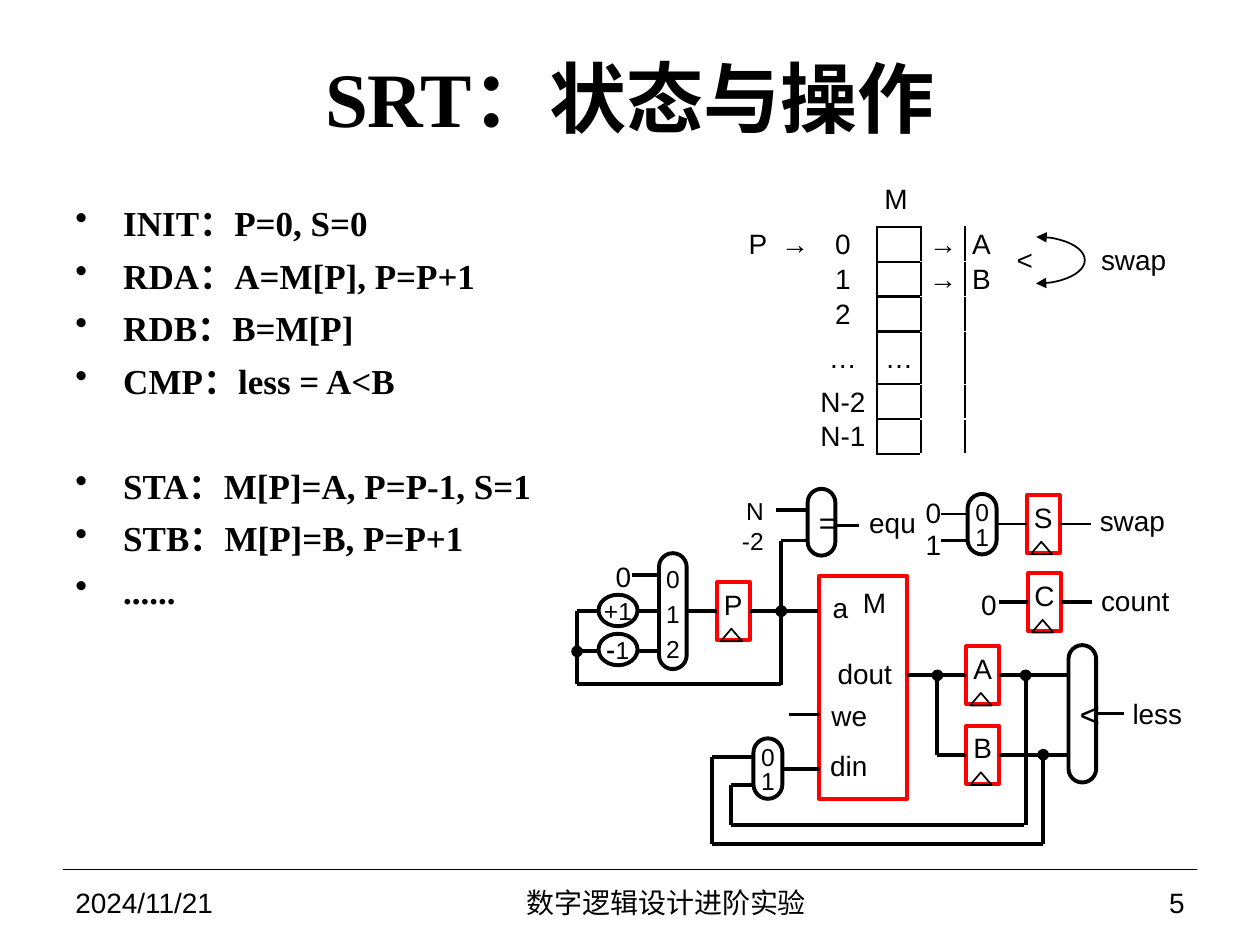
from dataclasses import dataclass

from lxml import etree
from pptx import Presentation
from pptx.dml.color import RGBColor
from pptx.enum.shapes import MSO_CONNECTOR, MSO_SHAPE
from pptx.enum.text import MSO_ANCHOR, PP_ALIGN
from pptx.oxml.ns import qn
from pptx.util import Emu, Inches, Pt

LEFT, CENTER, RIGHT = PP_ALIGN.LEFT, PP_ALIGN.CENTER, PP_ALIGN.RIGHT
TOP, MIDDLE = MSO_ANCHOR.TOP, MSO_ANCHOR.MIDDLE
RECT, PILL, OVAL = MSO_SHAPE.RECTANGLE, MSO_SHAPE.ROUNDED_RECTANGLE, MSO_SHAPE.OVAL
TRIANGLE, ARC = MSO_SHAPE.ISOSCELES_TRIANGLE, MSO_SHAPE.ARC
STRAIGHT = MSO_CONNECTOR.STRAIGHT
LEFT_SIDE, RIGHT_SIDE = 1, 3
COLUMNS, ROWS, CELL = 100, 75, Inches(0.1)
DEFAULT_INSETS, TOP_INSET, NO_INSETS = (1, 0.5, 1, 0.5), (0, 0.4, 0, 0), (0, 0, 0, 0)


@dataclass(frozen=True)
class Theme:
    ink: RGBColor = RGBColor(0, 0, 0)
    register: RGBColor = RGBColor(255, 0, 0)
    paper: RGBColor = RGBColor(255, 255, 255)
    sans: str = "Arial"
    serif: str = "Times New Roman"
    cjk: str = "Noto Sans CJK SC"
    title: int = 44
    body: int = 20
    label: int = 16
    small: int = 14
    thick: float = 2.25
    medium: float = 1.5
    thin: float = 1
    rule: float = 0.75


def grid(n):
    return Emu(round(n * CELL))


class Sketch:
    """Draws on one slide; all lengths are cells of a 100 by 75 grid."""

    def __init__(self, slide, theme):
        self.slide, self.theme = slide, theme

    def add_lines(self, frame, lines, size, font=None, bold=False, align=LEFT, leading=None):
        """Fill a frame; a line is a string or a list of (text, font, bold) runs."""
        for i, line in enumerate(lines):
            para = frame.paragraphs[0] if i == 0 else frame.add_paragraph()
            para.alignment = align
            if leading:
                para.line_spacing = Pt(leading)
            runs = [(line, font or self.theme.sans, bold)] if isinstance(line, str) else line
            for text, face, weight in runs:
                run = para.add_run()
                run.text = text
                run.font.name, run.font.size, run.font.bold = face, Pt(size), weight
                run.font.color.rgb = self.theme.ink
                east_asian = etree.SubElement(run._r.get_or_add_rPr(), qn("a:ea"))
                east_asian.set("typeface", self.theme.cjk)

    def frame(self, shape, anchor, insets, wrap):
        frame = shape.text_frame
        frame.word_wrap, frame.vertical_anchor = wrap, anchor
        (frame.margin_left, frame.margin_top,
         frame.margin_right, frame.margin_bottom) = map(grid, insets)
        return frame

    def text(self, x, y, w, h, lines, size=None, anchor=TOP, insets=DEFAULT_INSETS,
             wrap=False, **style):
        box = self.slide.shapes.add_textbox(*map(grid, (x, y, w, h)))
        frame = self.frame(box, anchor, insets, wrap)
        self.add_lines(frame, lines, size or self.theme.label, **style)
        return frame

    def shape(self, kind, x, y, w, h, lines=(), size=None, line=None, weight=None, fill=None,
              anchor=MIDDLE, insets=NO_INSETS, wrap=False, leading=None):
        shape = self.slide.shapes.add_shape(kind, *map(grid, (x, y, w, h)))
        shape.shadow.inherit = False
        if fill is None:
            shape.fill.background()
        else:
            shape.fill.solid()
            shape.fill.fore_color.rgb = fill
        shape.line.color.rgb = line or self.theme.ink
        shape.line.width = Pt(weight or self.theme.thick)
        if kind == PILL:
            shape.adjustments[0] = 0.5
        frame = self.frame(shape, anchor, insets, wrap)
        self.add_lines(frame, lines, size or self.theme.small, align=CENTER, leading=leading)
        return shape

    def ends(self, line, **kinds):
        for tag, kind in kinds.items():
            etree.SubElement(line._get_or_add_ln(), qn(f"a:{tag}")).set("type", kind)

    def wire(self, *points, weight=None, dot=False, start=None, end=None):
        """Join points by straight lines; start and end are (shape, side) pairs."""
        for (x1, y1), (x2, y2) in zip(points, points[1:]):
            wire = self.slide.shapes.add_connector(STRAIGHT, *map(grid, (x1, y1, x2, y2)))
            wire.line.color.rgb = self.theme.ink
            wire.line.width = Pt(weight or self.theme.thick)
            if dot:
                self.ends(wire.line, headEnd="oval")
                dot = False
            etree.SubElement(wire._element.spPr, qn("a:effectLst"))
            if start:
                wire.begin_connect(*start)
            if end:
                wire.end_connect(*end)

    def register(self, name, x, y, weight=None, source=None):
        """Clocked box centred on row y, with its input and output wires."""
        top = y - 2.3
        box = self.shape(RECT, x, top, 2.6, 4.6, [name], self.theme.label,
                         self.theme.register, anchor=TOP, insets=TOP_INSET)
        self.wire((x + 2.6, y), (x + 5.1, y), weight=weight, start=(box, RIGHT_SIDE))
        self.wire((x - 2.3, y), (x, y), weight=weight, start=source, end=(box, LEFT_SIDE))
        self.shape(TRIANGLE, x + 0.3, top + 3.7, 1.7, 1, weight=self.theme.thin)

    def mux(self, x, y, w, h, count, leading, insets=TOP_INSET):
        return self.shape(PILL, x, y, w, h, [str(i) for i in range(count)],
                          leading=leading, insets=insets)

    def bullets(self, x, y, w, h, groups, gap):
        """Bulleted lines; each group after the first is set apart by gap points."""
        lines = [line for group in groups for line in group]
        frame = self.text(x, y, w, h, lines, self.theme.body, wrap=True,
                          font=self.theme.serif, bold=True)
        for para in frame.paragraphs:
            props = para._p.get_or_add_pPr()
            props.set("marL", str(grid(3.8)))
            props.set("indent", str(-grid(3.8)))
            para.space_after = Pt(6)
            etree.SubElement(props, qn("a:buChar")).set("char", "•")
        first = 0
        for group in groups[:-1]:
            first += len(group)
            frame.paragraphs[first].space_before = Pt(gap)

    def border(self, cell, sides):
        props = cell._tc.get_or_add_tcPr()
        for side in sides:
            line = etree.SubElement(props, qn(f"a:ln{side}"), w=str(Pt(self.theme.medium)))
            fill = etree.SubElement(line, qn("a:solidFill"))
            etree.SubElement(fill, qn("a:srgbClr"), val=str(self.theme.ink))

    def memory(self, x, y, widths, heights, rows, borders):
        """Table whose borders map a column to the sides that are ruled."""
        table = self.slide.shapes.add_table(len(rows), len(widths), *map(
            grid, (x, y, sum(widths), sum(heights)))).table
        table.first_row = table.horz_banding = False
        for column, width in zip(table.columns, widths):
            column.width = grid(width)
        for r, (height, row) in enumerate(zip(heights, rows)):
            table.rows[r].height = grid(height)
            for c, text in enumerate(row):
                cell = table.cell(r, c)
                self.border(cell, borders.get(c, ""))
                cell.fill.background()
                cell.vertical_anchor = MIDDLE
                cell.margin_left = cell.margin_top = cell.margin_right = grid(0.1)
                cell.margin_bottom = 0
                if text:
                    self.add_lines(cell.text_frame, [text], self.theme.label, align=CENTER)
                else:
                    etree.SubElement(cell.text_frame.paragraphs[0]._p, qn("a:endParaRPr"),
                                     sz=str(self.theme.label * 100))


def draw_text(s, t):
    s.wire((5, 69), (95, 69), weight=t.rule)
    s.text(5, 3, 90, 9.3, ["SRT：状态与操作"], t.title, MIDDLE, wrap=True,
           font=t.serif, bold=True, align=CENTER)
    for x, w, words, align in ((5, 23.3, "2024/11/21", LEFT),
                               (28.3, 49.2, "数字逻辑设计进阶实验", CENTER),
                               (77.5, 17.5, "5", RIGHT)):
        s.text(x, 69.8, w, 3.7, [words], anchor=MIDDLE, wrap=True, align=align)
    s.bullets(5, 15.5, 43.4, 53.5, [
        ["INIT：P=0, S=0", "RDA：A=M[P], P=P+1", "RDB：B=M[P]", "CMP：less = A<B"],
        ["STA：M[P]=A, P=P-1, S=1", "STB：M[P]=B, P=P+1", "......"]], gap=30)


def draw_memory(s, t):
    s.memory(58.4, 18, (3.5, 2.3, 5.4, 3.5, 3.5, 2.6), (2.7, 2.7, 2.7, 4.2, 2.7, 2.7), [
        ("P", "→", "0", "", "→", "A"), ("", "", "1", "", "→", "B"), ("", "", "2", "", "", ""),
        ("", "", "…", "…", "", ""), ("", "", "N-2", "", "", ""), ("", "", "N-1", "", "", "")],
        {2: "R", 3: "LRTB", 4: "L"})
    swap = s.shape(ARC, 78.4, 18.8, 7.7, 3.7, weight=t.thin)
    swap.adjustments[0], swap.adjustments[1] = 162, 54.54
    s.ends(swap.line, headEnd="triangle", tailEnd="triangle")


def draw_datapath(s, t):
    next_p = s.mux(52.3, 43.9, 2.2, 9.2, 3, 20, NO_INSETS)
    next_s = s.mux(76.8, 39.2, 2.3, 4.8, 2, 14)
    din = s.mux(59.8, 58.6, 2.3, 4.8, 2, 14)
    s.shape(RECT, 65, 45.7, 7, 17.7, ["M"], t.label, t.register,
            anchor=TOP, insets=(1.8, 0.8, 0, 0))
    less = s.shape(PILL, 84.8, 51.2, 2.2, 10.9, ["<"], 20, insets=DEFAULT_INSETS, wrap=True)
    s.shape(PILL, 64.1, 38.8, 2.2, 5.3, ["="], 18, insets=DEFAULT_INSETS, wrap=True)

    s.register("A", 76.7, 53.6)
    s.register("B", 76.7, 59.9)
    s.register("P", 56.9, 48.5, source=(next_p, RIGHT_SIDE))
    s.register("S", 81.5, 41.6, t.medium, (next_s, RIGHT_SIDE))
    s.register("C", 81.6, 47.8)

    for points in (((62, 48.5), (64.9, 48.5)), ((81.3, 53.6), (84.9, 53.6)),
                   ((81.6, 59.9), (84.9, 59.9)), ((72, 53.6), (74.4, 53.6)),
                   ((52.3, 48.5), (45.8, 48.5), (45.8, 54.3), (62, 54.3)),
                   ((50.2, 45.6), (52.3, 45.6)), ((61.6, 40.5), (64, 40.5)),
                   ((59.8, 62.3), (58, 62.3), (58, 65.5), (81.3, 65.5)),
                   ((59.8, 60.1), (56.5, 60.1), (56.5, 67), (82.8, 67))):
        s.wire(*points)
    for points in (((74.4, 53.6), (74.4, 59.9)), ((62, 48.5), (62, 54.4)),
                   ((62, 48.5), (62, 42.9), (64.1, 42.9)), ((81.4, 53.6), (81.4, 65.5)),
                   ((82.8, 59.9), (82.8, 67)), ((45.8, 51.7), (52.3, 51.7))):
        s.wire(*points, dot=True)
    for x1, x2, y in ((62.6, 65.1, 56.7), (66.3, 68.2, 41.7),
                      (74.7, 76.8, 40.8), (74.7, 76.8, 42.9)):
        s.wire((x1, y), (x2, y), weight=t.medium)
    s.wire((62.1, 61), (65.1, 61), start=(din, RIGHT_SIDE))
    s.wire((87, 56.65), (89.2, 56.65), weight=t.medium, start=(less, RIGHT_SIDE))

    for y, step in ((47.2, "+1"), (50.3, [("-", t.cjk, True), ("1", t.sans, False)])):
        s.shape(OVAL, 47.5, y, 3.1, 2.5, [step], fill=t.paper)


def draw_labels(s, t):
    for x, y, w, name in ((64.9, 58.9, 5, "din"), (65.5, 51.6, 6.4, "dout"),
                          (65.1, 46.4, 3.3, "a"), (88.9, 54.8, 6, "less"),
                          (68, 39.6, 5.8, "equ"), (86.3, 39.5, 7.2, "swap"),
                          (86.4, 18.8, 7.2, "swap"), (86.4, 45.8, 7.9, "count"),
                          (79.7, 18.8, 3.3, "<"), (69.2, 13.9, 3.9, "M")):
        s.text(x, y, w, 3.7, [name])
    s.text(65, 55.5, 4.9, 3.1, ["we"], leading=15)
    s.text(57.8, 38.9, 3.8, 3.4, ["N-2"], t.small, wrap=True, align=RIGHT)
    for x, y, bit in ((48.1, 43.9, "0"), (72.7, 38.8, "0"), (72.7, 41.4, "1"), (77.1, 46.1, "0")):
        s.text(x, y, 2, 3.8, [bit], insets=(0, 0.5, 0, 0.5), align=RIGHT)


def main():
    deck = Presentation()
    deck.slide_width, deck.slide_height = grid(COLUMNS), grid(ROWS)
    theme = Theme()
    sketch = Sketch(deck.slides.add_slide(deck.slide_layouts[6]), theme)
    for draw in (draw_text, draw_datapath, draw_labels, draw_memory):
        draw(sketch, theme)
    deck.save("out.pptx")


if __name__ == "__main__":
    main()
